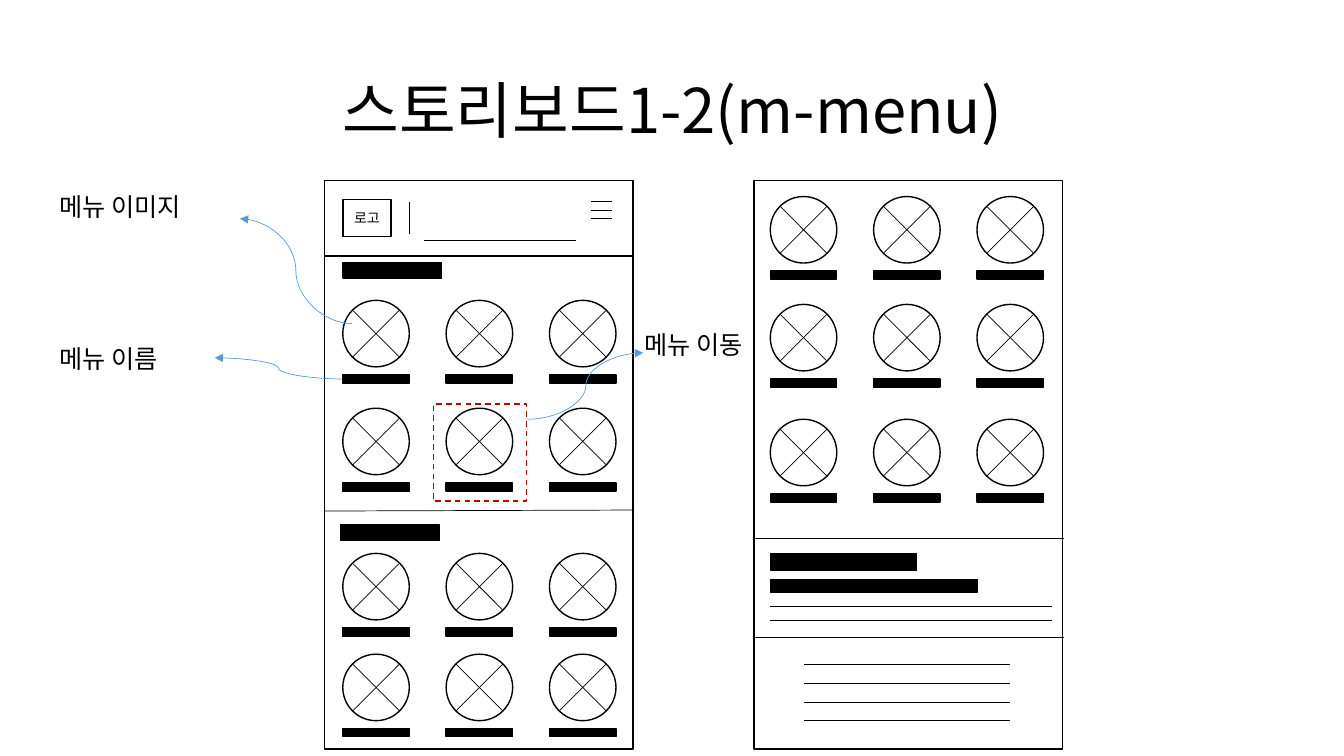
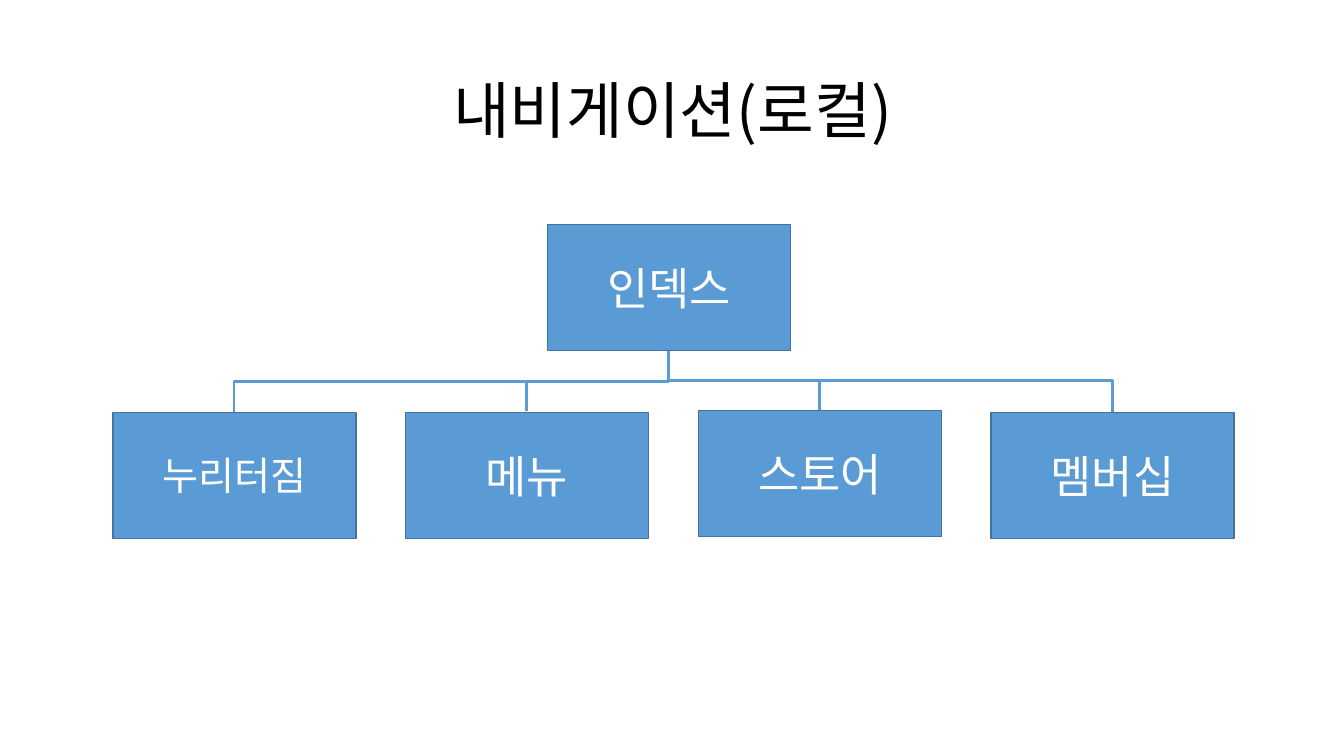
from lxml import etree
from pptx import Presentation
from pptx.dml.color import RGBColor
from pptx.enum.dml import MSO_LINE
from pptx.enum.shapes import MSO_CONNECTOR, MSO_SHAPE
from pptx.enum.text import MSO_ANCHOR, PP_ALIGN
from pptx.oxml.ns import qn
from pptx.util import Inches, Pt

FONT = "Noto Sans CJK KR"
COLORS = {"black": "000000", "white": "FFFFFF", "blue": "5B9BD5",
          "navy": "43739E", "red": "C00000"}
RECT, OVAL = MSO_SHAPE.RECTANGLE, MSO_SHAPE.OVAL
STRAIGHT, ELBOW, CURVE = MSO_CONNECTOR.STRAIGHT, MSO_CONNECTOR.ELBOW, MSO_CONNECTOR.CURVE


def box(s, kind, at, fill=None, edge="black", text="", size=18, color="black",
        align=PP_ALIGN.CENTER, anchor=MSO_ANCHOR.MIDDLE):
    at = [Inches(v) for v in at]
    if kind is None:
        sp = s.shapes.add_textbox(*at)
    else:
        sp = s.shapes.add_shape(kind, *at)
        sp.shadow.inherit = False
        if fill:
            sp.fill.solid()
            sp.fill.fore_color.rgb = RGBColor.from_string(COLORS[fill])
        else:
            sp.fill.background()
        sp.line.color.rgb = RGBColor.from_string(COLORS[edge])
        sp.line.width = Pt(1)
    if text:
        tf = sp.text_frame
        tf.word_wrap = True
        tf.vertical_anchor = anchor
        p = tf.paragraphs[0]
        p.text = text
        p.alignment = align
        p.font.size = Pt(size)
        p.font.name = FONT
        p.font.color.rgb = RGBColor.from_string(COLORS[color])
        props = p._p.pPr.find(qn("a:defRPr"))
        etree.SubElement(props, qn("a:ea")).set("typeface", FONT)
    return sp


def line(s, x1, y1, x2, y2, color="black", width=0.5, kind=STRAIGHT, arrow=False):
    c = s.shapes.add_connector(kind, Inches(x1), Inches(y1), Inches(x2), Inches(y2))
    c.line.color.rgb = RGBColor.from_string(COLORS[color])
    c.line.width = Pt(width)
    if arrow:
        etree.SubElement(c.line._get_or_add_ln(), qn("a:tailEnd")).set("type", "triangle")
    etree.SubElement(c._element.spPr, qn("a:effectLst"))
    return c


prs = Presentation()
prs.slide_width, prs.slide_height = Inches(13.33), Inches(7.5)

slides = []
for title in ("스토리보드1-2(m-menu)", "내비게이션(로컬)"):
    s = prs.slides.add_slide(prs.slide_layouts[6])
    sp = box(s, None, (0.92, 0.4, 11.5, 1.45), text=title, size=44)
    sp.text_frame.paragraphs[0].line_spacing = 0.9
    slides.append(s)
storyboard, navigation = slides

s = storyboard
for left in (3.22, 7.48):
    box(s, RECT, (left, 1.79, 3.06, 5.64), "white")

box(s, RECT, (3.22, 1.79, 3.06, 0.75), "white")
box(s, RECT, (3.4, 1.98, 0.48, 0.37), "white", text="로고", size=10)
line(s, 4.06, 2, 4.06, 2.32)
line(s, 4.21, 2.38, 5.71, 2.38)
for y in (2, 2.09, 2.17):
    line(s, 5.86, y, 6.07, y)

for bar in ((3.4, 2.61, 0.98, 0.15), (3.38, 5.21, 0.98, 0.15),
            (7.64, 5.49, 1.45, 0.17), (7.64, 5.75, 2.05, 0.13)):
    box(s, RECT, bar, "black")

SIZE, PITCH, INSET = 0.66, 1.025, 0.1
for left, tops in ((3.4, (2.98, 4.05, 5.49, 6.49)), (7.64, (1.95, 3.02, 4.16))):
    for top in tops:
        for col in range(3):
            x = left + col * PITCH
            x1, x2 = x + INSET, x + SIZE - INSET
            y1, y2 = top + INSET, top + SIZE - INSET
            box(s, OVAL, (x, top, SIZE, SIZE), "white")
            line(s, x1, y2, x2, y1)
            line(s, x1, y1, x2, y2)
            box(s, RECT, (x, top + 0.74, SIZE, 0.08), "black")

line(s, 3.22, 5.07, 6.29, 5.06)
for x1, x2, rows in ((7.48, 10.55, (5.34, 6.32)),
                     (7.64, 10.43, (6.02, 6.15)),
                     (7.97, 10.02, (6.59, 6.78, 6.97, 7.15))):
    for y in rows:
        line(s, x1, y, x2, y)

target = box(s, RECT, (4.3, 4.01, 0.92, 0.96), edge="red")
target.line.dash_style = MSO_LINE.DASH

for text, at, arrow in (
        ("메뉴 이미지", (0.49, 1.85, 1.64, 0.4), (3.49, 3.21, 2.38, 2.17)),
        ("메뉴 이름", (0.49, 3.36, 1.36, 0.4), (3.4, 3.76, 2.13, 3.55)),
        ("메뉴 이동", (6.29, 3.22, 1.37, 0.4), (5.24, 4.16, 6.38, 3.5))):
    line(s, *arrow, color="blue", kind=CURVE, arrow=True)
    box(s, None, at, text=text, align=PP_ALIGN.LEFT, anchor=MSO_ANCHOR.TOP)

s = navigation
for text, x, y, size in (("인덱스", 5.43, 2.23, 32), ("누리터짐", 1.12, 4.09, 28),
                         ("메뉴", 4.02, 4.09, 32), ("스토어", 6.93, 4.07, 32),
                         ("멤버십", 9.83, 4.09, 32)):
    box(s, RECT, (x, y, 2.41, 1.25), "blue", "navy", text, size, "white")

for ends, preset, turn in (((4.17, 1.63, 4.78, 5.94), "bentConnector3", 90),
                           ((8.68, 6.13, 8.99, 1.73), "bentConnector2", 270)):
    branch = line(s, *ends, color="blue", width=2, kind=ELBOW)
    spPr = branch._element.spPr
    spPr.find(qn("a:xfrm")).set("rot", str(turn * 60000))
    spPr.find(qn("a:prstGeom")).set("prst", preset)
for x, y in ((5.22, 4.08), (8.13, 4.07)):
    line(s, x, y, x, y - 0.29, "blue", 2)

prs.save("out.pptx")
